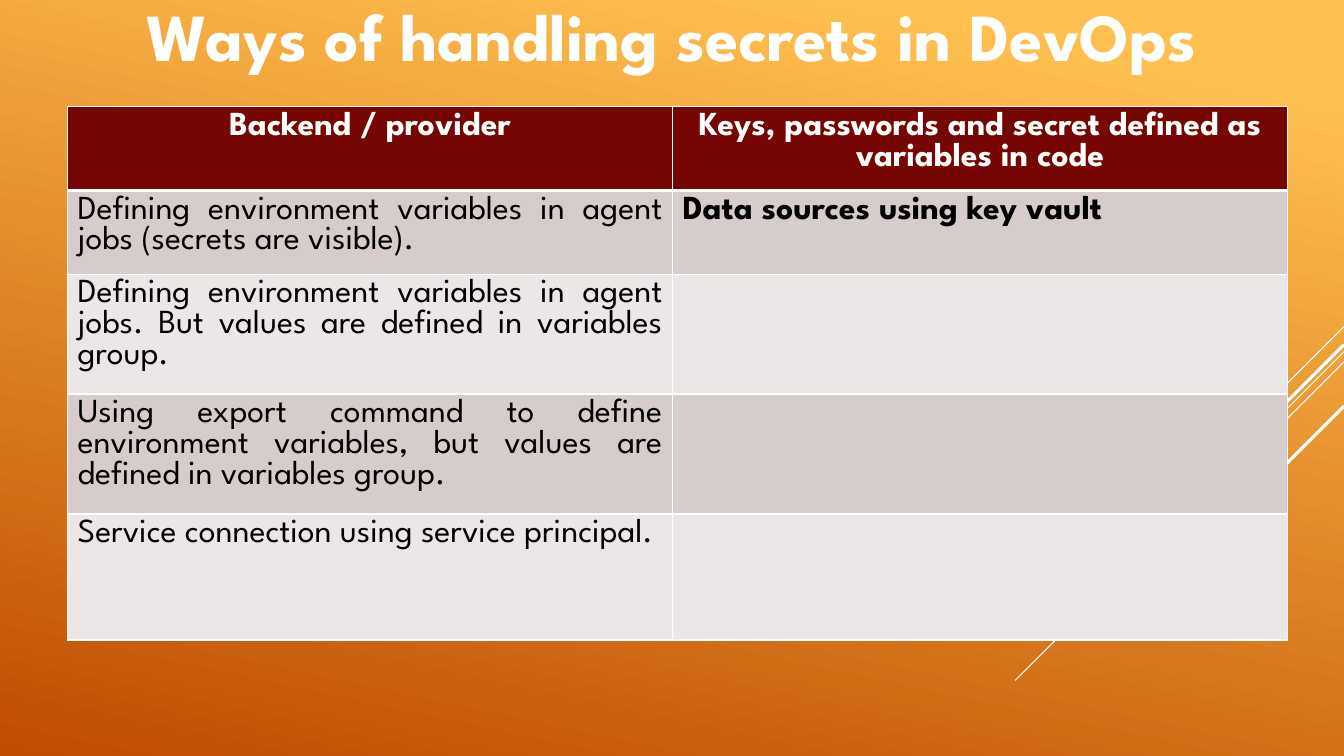
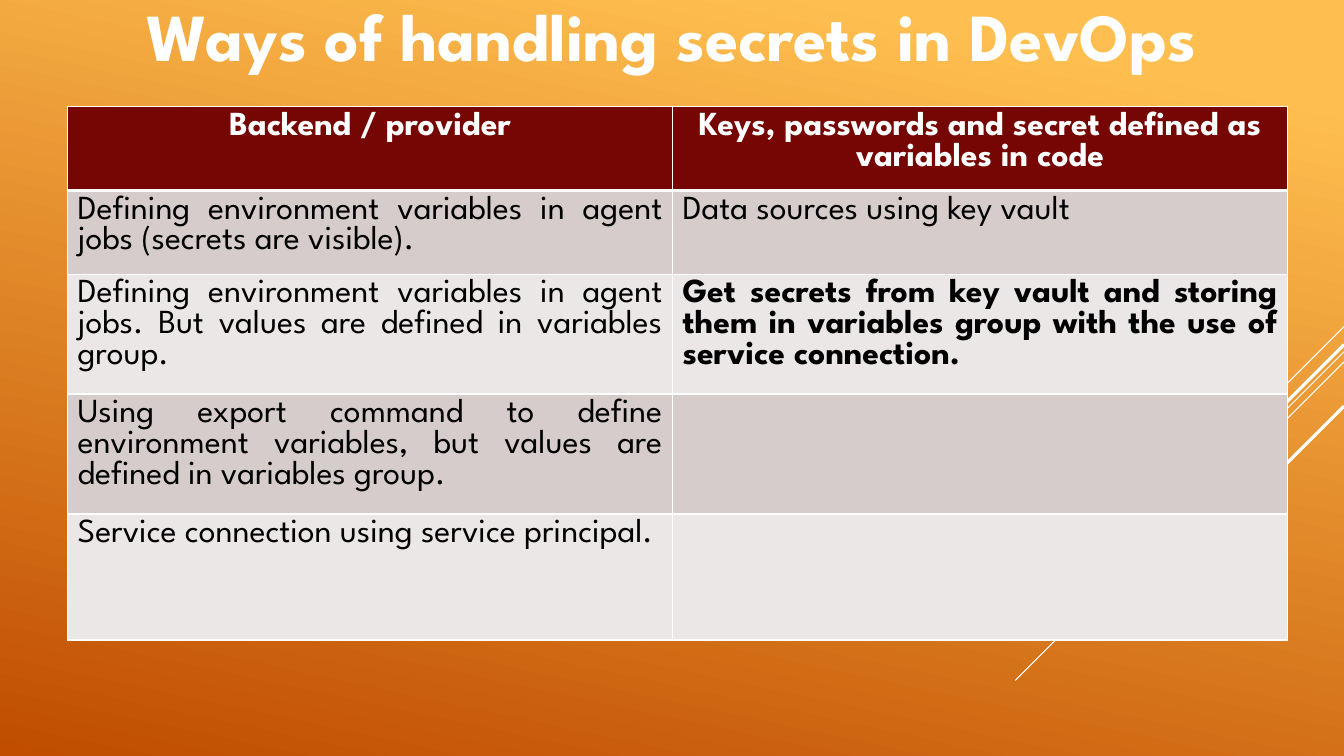
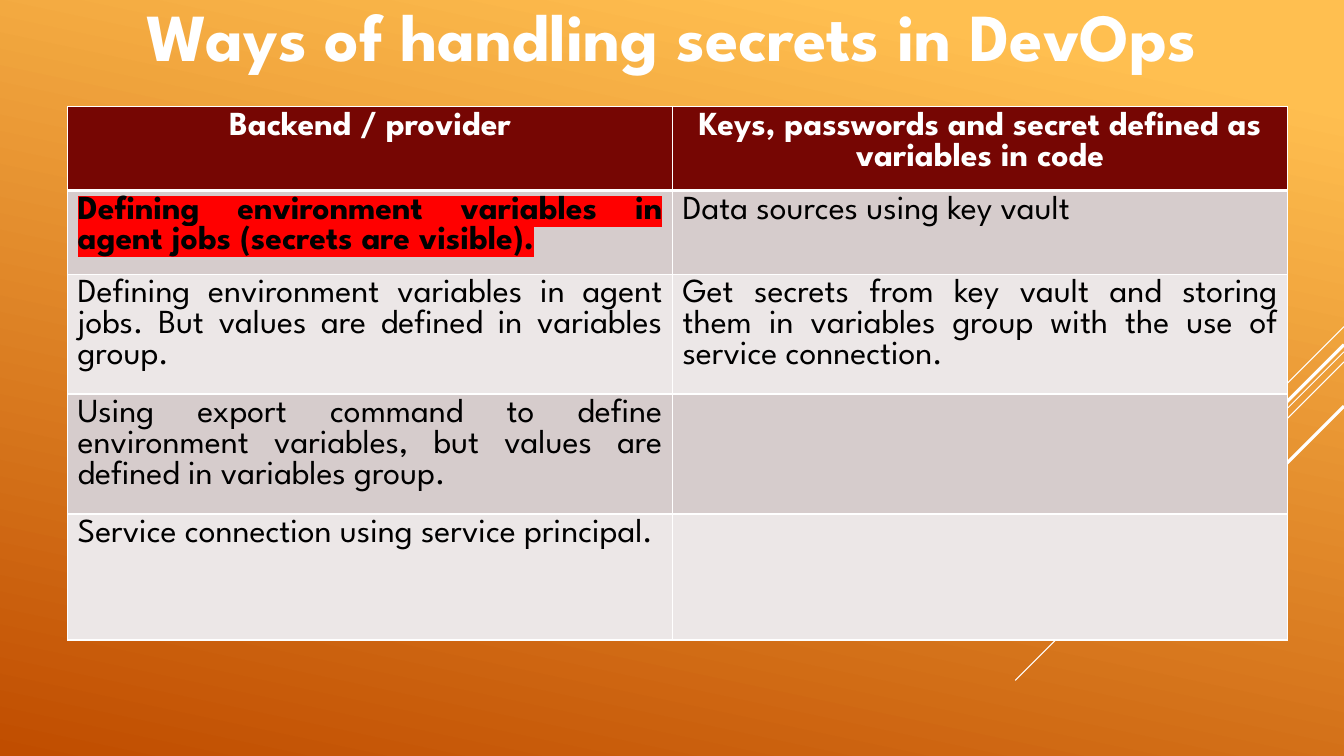
from lxml.etree import SubElement
from pptx import Presentation
from pptx.dml.color import RGBColor
from pptx.enum.shapes import MSO_CONNECTOR
from pptx.enum.text import MSO_ANCHOR, MSO_AUTO_SIZE, PP_ALIGN
from pptx.oxml.ns import qn
from pptx.util import Inches, Pt

FONT = "League Spartan"
WHITE, BLACK, RED = "FFFFFF", "000000", "FF0000"
MAROON, BANDS = "760603", ("D6CCCC", "ECE7E7")
GLOW = ((0.1, "FFBF50"), (1, "C04D00"))

TITLE = "Ways of handling secrets in DevOps"
TITLE_BOX = (0.67, 0.02, 11.99, 0.77)
TABLE_BOX = (0.67, 1.06)
COL_WIDTHS = (6, 6.1)
ROW_HEIGHTS = (0.83, 0.83, 1.19, 1.19, 1.25)
HEADERS = ("Backend / provider", "Keys, passwords and secret defined as variables in code")
PROVIDERS = (
    "Defining environment variables in agent jobs (secrets are visible).",
    "Defining environment variables in agent jobs. But values are defined in variables group.",
    "Using export command to define environment variables, but values are defined in variables group.",
    "Service connection using service principal.",
)
METHODS = (
    "Data sources using key vault",
    "Get secrets from key vault and storing them in variables group with the use of service connection.",
)
STEPS = (
    {"shown": 1, "bold_cell": (1, 1)},
    {"shown": 2, "bold_cell": (2, 1)},
    {"shown": 2, "bold_cell": (1, 0), "highlight": RED},
)
RAYS = ((3.24, 1, 0.75), (3.49, 3.26, 0.75), (3.59, 2.07, 0.75), (3.42, 1.91, 2.25), (4.03, 1.39, 2.25))


def rgb(value):
    return RGBColor.from_string(value)


def write(tf, text, size=24, color=BLACK, bold=False, align=PP_ALIGN.JUSTIFY, highlight=None):
    p = tf.paragraphs[0]
    p.alignment = align
    r = p.add_run()
    r.text = text
    r.font.size, r.font.bold, r.font.name = Pt(size), bold, FONT
    r.font.color.rgb = rgb(color)
    if highlight:
        rPr = r.font._element
        mark = SubElement(rPr, qn("a:highlight"))
        SubElement(mark, qn("a:srgbClr"), val=highlight)
        rPr.find(qn("a:latin")).addprevious(mark)


def paint_background(master):
    fill = master.background.fill
    fill.gradient()
    fill.gradient_angle = 258
    for stop, (position, color) in zip(fill.gradient_stops, GLOW):
        stop.position = position
        stop.color.rgb = rgb(color)


def add_rays(s, right):
    for top, span, width in RAYS:
        ray = s.shapes.add_connector(
            MSO_CONNECTOR.STRAIGHT, Inches(right), Inches(top), Inches(right - span), Inches(top + span))
        ray.line.color.rgb = rgb(WHITE)
        ray.line.width = Pt(width)
        SubElement(ray._element.spPr, qn("a:effectLst"))


def add_title(s, box):
    sp = s.shapes.title
    sp.left, sp.top, sp.width, sp.height = map(Inches, box)
    tf = sp.text_frame
    tf.word_wrap = True
    tf.auto_size = MSO_AUTO_SIZE.NONE
    tf.vertical_anchor = MSO_ANCHOR.BOTTOM
    write(tf, TITLE, size=48, color=WHITE, bold=True, align=PP_ALIGN.CENTER)


def style_cell(cell, fill, top=1, bottom=1):
    tcPr = cell._tc.get_or_add_tcPr()
    for side, width in (("L", 1), ("R", 1), ("T", top), ("B", bottom)):
        ln = SubElement(tcPr, qn(f"a:ln{side}"), w=str(Pt(width)))
        SubElement(SubElement(ln, qn("a:solidFill")), qn("a:srgbClr"), val=WHITE)
    cell.fill.solid()
    cell.fill.fore_color.rgb = rgb(fill)


def add_secrets_table(s, box, shown, bold_cell, highlight=None):
    left, top = box
    table = s.shapes.add_table(
        len(ROW_HEIGHTS), len(COL_WIDTHS), Inches(left), Inches(top),
        Inches(sum(COL_WIDTHS)), Inches(sum(ROW_HEIGHTS))).table
    table.horz_banding = False
    for column, width in zip(table.columns, COL_WIDTHS):
        column.width = Inches(width)
    for row, height in zip(table.rows, ROW_HEIGHTS):
        row.height = Inches(height)
    for col, header in enumerate(HEADERS):
        cell = table.cell(0, col)
        style_cell(cell, MAROON, bottom=3)
        write(cell.text_frame, header, color=WHITE, bold=True, align=PP_ALIGN.CENTER)
    for col, texts in enumerate((PROVIDERS, METHODS[:shown])):
        for row in range(1, len(ROW_HEIGHTS)):
            cell = table.cell(row, col)
            style_cell(cell, BANDS[(row - 1) % 2], top=3 if row == 1 else 1)
            if row <= len(texts):
                bold = (row, col) == bold_cell
                write(cell.text_frame, texts[row - 1], bold=bold, highlight=highlight if bold else None)


def main():
    prs = Presentation()
    prs.slide_width, prs.slide_height = Inches(13.33), Inches(7.5)
    paint_background(prs.slide_master)
    for step in STEPS:
        s = prs.slides.add_slide(prs.slide_layouts[5])
        add_rays(s, 13.33)
        add_title(s, TITLE_BOX)
        add_secrets_table(s, TABLE_BOX, **step)
    prs.save("out.pptx")


if __name__ == "__main__":
    main()
